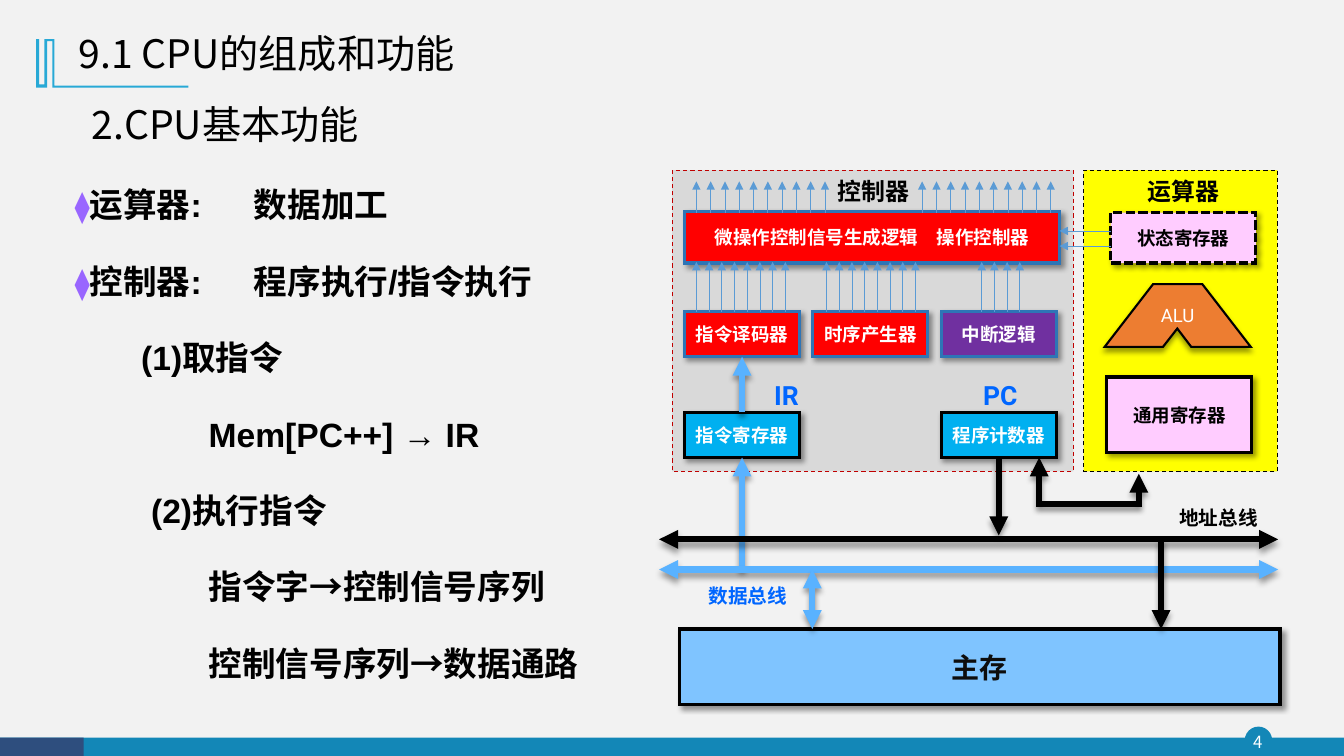
from pptx import Presentation
from pptx.dml.color import RGBColor as RGB
from pptx.enum.dml import MSO_LINE as DASH
from pptx.enum.shapes import MSO_CONNECTOR as CONN, MSO_SHAPE as SHAPE
from pptx.enum.text import MSO_ANCHOR as ANCHOR, PP_ALIGN as ALIGN
from pptx.oxml.ns import qn
from pptx.util import Cm, Pt
from lxml.etree import SubElement

THEME = {
    "bg": "F2F2F2", "teal": "1387B7", "navy": "2E4E7E", "accent": "28A9D6",
    "black": "000000", "ink": "0D0D0D", "white": "FFFFFF", "diamond": "9966FF",
    "yellow": "FFFF00", "grey": "D9D9D9", "crimson": "C00000", "pink": "FFCCFF",
    "orange": "ED7D31", "red": "FF0000", "purple": "7030A0", "cyan": "00B0F0",
    "edge": "2E75B6", "signal": "5B9BD5", "data": "59B2FF", "blue": "0066FF",
    "memory": "7FC4FF",
    "sans": "Noto Sans CJK SC", "sub": "Noto Sans CJK JP", "body": "Arial", "label": "Roboto",
    "title": 28, "text": 24, "mem": 20, "reg": 18.9, "panel": 17.1, "bus": 14, "box": 13.2,
    "page": 12, "thick": 4.5, "border": 2.25, "outline": 1.5, "thin": 0.75, "hair": 0.5,
}

# Content: lengths in cm; places are left, top, width, height
BODY = [  # text, left margin, bulleted
    ("运算器:\t数据加工", 0.38, True),
    ("控制器:\t程序执行/指令执行", 0.38, True),
    ("(1)取指令", 1.68, False),
    ("Mem[PC++] → IR", 3.38, False),
    ("(2)执行指令", 1.93, False),
    ("指令字→控制信号序列", 3.38, False),
    ("控制信号序列→数据通路", 3.38, False),
]
BODY_TAB = 4.52
FOOTER = [
    (SHAPE.OVAL, (31.37, 18.31, 0.69, 0.69), "teal"),
    (SHAPE.RECTANGLE, (0, 18.59, 33.87, 0.46), "teal"),
    (SHAPE.RECTANGLE, (0, 18.59, 2.11, 0.46), "navy"),
]
BRACKET = [(1.37, 0.99), (1.37, 2.16), (4.75, 2.16), (4.75, 2.21), (1.32, 2.21), (1.32, 1.04),
           (1.19, 1.04), (1.19, 2.21), (0.91, 2.21), (0.91, 0.99), (0.99, 0.99), (0.99, 2.13),
           (1.12, 2.13), (1.12, 0.99)]
ALU = [(29.06, 7.16), (27.84, 8.74), (29.31, 8.74), (29.67, 8.28), (30.02, 8.74),
       (31.52, 8.74), (30.3, 7.16)]
ELBOW = [(26.19, 11.53), (26.19, 12.7), (28.7, 12.7), (28.7, 11.94)]
PANELS = [((27.31, 4.29, 4.88, 7.59), "yellow", "black"),
          ((16.94, 4.29, 10.11, 7.59), "grey", "crimson")]
COLUMNS = [17.25 + 3.235 * i for i in range(3)]
UNIT_W, UNIT_H, UNIT_Y, REG_Y = 2.9, 1.14, 7.85, 10.39
BOXES = [  # text, place, fill, line, text colour, size
    ("通用寄存器", (27.89, 9.5, 3.66, 1.91), "pink", "black", "black", "box"),
    ("状态寄存器", (27.99, 5.36, 3.66, 1.27), "pink", "black", "black", "box"),
    ("主存", (17.12, 15.85, 15.14, 1.91), "memory", "black", "ink", "mem"),
    ("微操作控制信号生成逻辑　操作控制器", (17.25, 5.33, 9.45, 1.3), "red", "edge", "white", "box"),
    ("指令译码器", (COLUMNS[0], UNIT_Y, UNIT_W, UNIT_H), "red", "edge", "white", "box"),
    ("时序产生器", (COLUMNS[1], UNIT_Y, UNIT_W, UNIT_H), "red", "edge", "white", "box"),
    ("中断逻辑", (COLUMNS[2], UNIT_Y, UNIT_W, UNIT_H), "purple", "edge", "white", "box"),
    ("指令寄存器", (COLUMNS[0], REG_Y, UNIT_W, UNIT_H), "cyan", "black", "white", "box"),
    ("程序计数器", (COLUMNS[2], REG_Y, UNIT_W, UNIT_H), "cyan", "black", "white", "box"),
]
LABELS = [  # text, place, size, colour, font
    ("运算器", (28.32, 4.42, 3, 0.76), "panel", "black", "sans"),
    ("控制器", (20.52, 4.42, 3, 0.76), "panel", "black", "sans"),
    ("地址总线", (29.34, 12.4, 2.74, 1.3), "bus", "black", "sans"),
    ("数据总线", (17.48, 14.35, 2.74, 1.3), "bus", "blue", "sans"),
    ("IR", (19.02, 9.3, 1.6, 1.3), "reg", "blue", "label"),
    ("PC", (24.41, 9.3, 1.6, 1.3), "reg", "blue", "label"),
]
ADDRESS_Y, DATA_Y, BUS_X, MEMORY_Y = 13.59, 14.35, (16.61, 32.21), 15.85
IR_X, PC_X = COLUMNS[0] + UNIT_W / 2, COLUMNS[2] + UNIT_W / 2
WIRES = [  # from, to, colour, arrowheads, (box, side) at each end
    ((PC_X, REG_Y + UNIT_H), (PC_X, 13.49), "black", "tail", ("程序计数器", 2), None),
    ((IR_X, REG_Y + UNIT_H), (IR_X, DATA_Y), "data", "head", ("指令寄存器", 2), None),
    ((IR_X, UNIT_Y + UNIT_H), (IR_X, REG_Y), "data", "head", ("指令译码器", 2), ("指令寄存器", 0)),
    ((BUS_X[0], ADDRESS_Y), (BUS_X[1], ADDRESS_Y), "black", "head tail", None, None),
    ((BUS_X[0], DATA_Y), (BUS_X[1], DATA_Y), "data", "head tail", None, None),
    ((20.47, DATA_Y), (20.47, MEMORY_Y), "data", "head tail", None, None),
    ((29.26, ADDRESS_Y), (29.26, MEMORY_Y), "black", "tail", None, None),
]
STATUS_WIRES = [((27.99, y), (26.7, y)) for y in (5.82, 6.2)]
COMBS = [  # first x, count, step, from y, to y
    (17.55, 8, 0.32, 7.85, 6.6), (20.83, 8, 0.32, 7.85, 6.6), (24.74, 4, 0.32, 7.85, 6.6),
    (17.55, 10, 0.36, 5.36, 4.57), (23.24, 10, 0.36, 5.36, 4.57),
]

prs = Presentation()
prs.slide_width, prs.slide_height = Cm(33.87), Cm(19.05)
s = prs.slides.add_slide(prs.slide_layouts[6])


def color(name):
    return RGB.from_string(THEME[name])


s.background.fill.solid()
s.background.fill.fore_color.rgb = color("bg")


def stroke(sp, line, width, heads="", dash=None):
    sp.line.color.rgb = color(line)
    sp.line.width = Pt(THEME[width])
    if dash:
        sp.line.dash_style = dash
    ln = sp.line._get_or_add_ln()
    SubElement(ln, qn("a:miter"), lim="800000")
    for end in heads.split():
        SubElement(ln, qn(f"a:{end}End"), type="triangle")


def effects(sp, angle=None):
    lst = SubElement(sp._element.spPr, qn("a:effectLst"))
    if angle is not None:
        shadow = SubElement(lst, qn("a:outerShdw"), blurRad=str(Pt(4)), dist=str(Pt(3)),
                            dir=str(angle * 60000), algn="ctr", rotWithShape="0")
        clr = SubElement(shadow, qn("a:srgbClr"), val=THEME["black"])
        SubElement(clr, qn("a:alpha"), val="40000")


def paint(sp, fill, line=None, width="border", dash=None, shadow=None):
    sp.fill.solid()
    sp.fill.fore_color.rgb = color(fill)
    if line:
        stroke(sp, line, width, dash=dash)
    else:
        sp.line.fill.background()
    effects(sp, shadow)


def add_run(p, text, size, ink, font, bold=False):
    r = p.add_run()
    r.text = text
    r.font.size, r.font.bold, r.font.name = Pt(THEME[size]), bold, THEME[font]
    r.font.color.rgb = color(ink)
    east = THEME["sans"] if font in ("body", "label") else THEME[font]
    SubElement(r._r.get_or_add_rPr(), qn("a:ea"), typeface=east)


def centre(sp, text, size, ink, font="sans", bold=True):
    tf = sp.text_frame
    tf.word_wrap = True
    tf.vertical_anchor = ANCHOR.MIDDLE
    tf.margin_left = tf.margin_right = tf.margin_top = tf.margin_bottom = 0
    p = tf.paragraphs[0]
    p.alignment = ALIGN.CENTER
    add_run(p, text, size, ink, font, bold)


def add_box(kind, place):
    return s.shapes.add_shape(kind, *map(Cm, place))


def add_text(place):
    sp = s.shapes.add_textbox(*map(Cm, place))
    sp.text_frame.word_wrap = True
    return sp


def outline(points, close=True):
    pts = [(Cm(x), Cm(y)) for x, y in points]
    builder = s.shapes.build_freeform(*pts[0])
    builder.add_line_segments(pts[1:], close=close)
    return builder.convert_to_shape()


def wire(start, end, line, width, heads, begin=None, finish=None, shadow=None):
    sp = s.shapes.add_connector(CONN.STRAIGHT, *map(Cm, start + end))
    if begin:
        sp.begin_connect(boxes[begin[0]], begin[1])
    if finish:
        sp.end_connect(boxes[finish[0]], finish[1])
    stroke(sp, line, width, heads)
    effects(sp, shadow)


# Footer, page number and title bracket
for kind, place, fill in FOOTER:
    paint(add_box(kind, place), fill)
centre(add_text((31.29, 18.31, 0.81, 0.79)), "4", "page", "white", bold=False)
paint(outline(BRACKET), "accent")

# Headings
tf = add_text((1.73, 0.53, 11.4, 1.73)).text_frame
tf.vertical_anchor = ANCHOR.MIDDLE
tf.paragraphs[0].line_spacing = 0.9
add_run(tf.paragraphs[0], "9.1 CPU的组成和功能", "title", "black", "sans")
tf = add_text((2.06, 2.41, 8.48, 1.45)).text_frame
add_run(tf.paragraphs[0], "2.CPU基本功能", "title", "black", "sub")

# Panels, units and labels
for place, fill, line in PANELS:
    paint(add_box(SHAPE.RECTANGLE, place), fill, line, "thin", DASH.DASH)
boxes = {}
for text, place, fill, line, ink, size in BOXES:
    sp = boxes[text] = add_box(SHAPE.RECTANGLE, place)
    dash = DASH.SQUARE_DOT if text == "状态寄存器" else None
    paint(sp, fill, line, dash=dash, shadow=45)
    centre(sp, text, size, ink)
alu = outline(ALU)
paint(alu, "orange", "black", "outline", shadow=90)
centre(alu, "ALU", "box", "white", "label", False)
for text, place, size, ink, font in LABELS:
    centre(add_text(place), text, size, ink, font)

# Buses and wires
for start, end, line, heads, begin, finish in WIRES:
    wire(start, end, line, "thick", heads, begin, finish, shadow=90)
for start, end in STATUS_WIRES:
    wire(start, end, "signal", "hair", "tail")
for x, count, step, y1, y2 in COMBS:
    for i in range(count):
        wire((x + i * step, y1), (x + i * step, y2), "signal", "hair", "tail")
elbow = outline(ELBOW, close=False)
elbow.fill.background()
stroke(elbow, "black", "thick", "head tail")
effects(elbow, 90)

# Function list
tf = add_text((1.63, 4.01, 14.25, 13.46)).text_frame
for i, (text, margin, bulleted) in enumerate(BODY):
    p = tf.add_paragraph() if i else tf.paragraphs[0]
    p.line_spacing = 1.5
    p.space_before, p.space_after = Pt(5.7 if i else 0), Pt(5.7)
    pPr = p._p.get_or_add_pPr()
    pPr.set("marL", str(Cm(margin)))
    pPr.set("indent", str(-Cm(margin) if bulleted else 0))
    if bulleted:
        clr = SubElement(pPr, qn("a:buClr"))
        SubElement(clr, qn("a:srgbClr"), val=THEME["diamond"])
        SubElement(pPr, qn("a:buSzPct"), val="92000")
        SubElement(pPr, qn("a:buFont"), typeface=THEME["sans"])
        SubElement(pPr, qn("a:buChar"), char="⧫")
        tabs = SubElement(pPr, qn("a:tabLst"))
        SubElement(tabs, qn("a:tab"), pos=str(Cm(BODY_TAB)), algn="l")
    add_run(p, text, "text", "black", "body", True)

prs.save("out.pptx")
